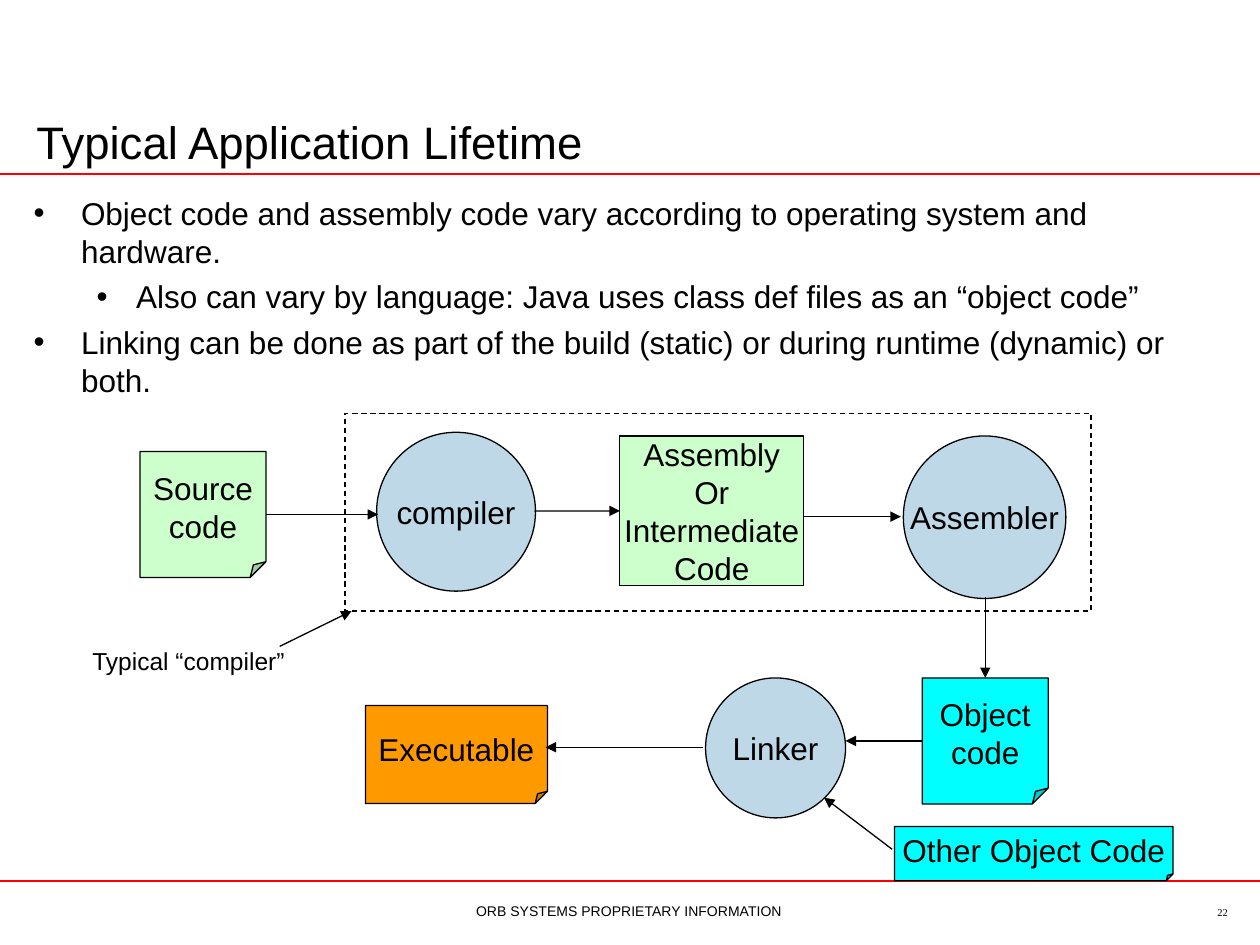
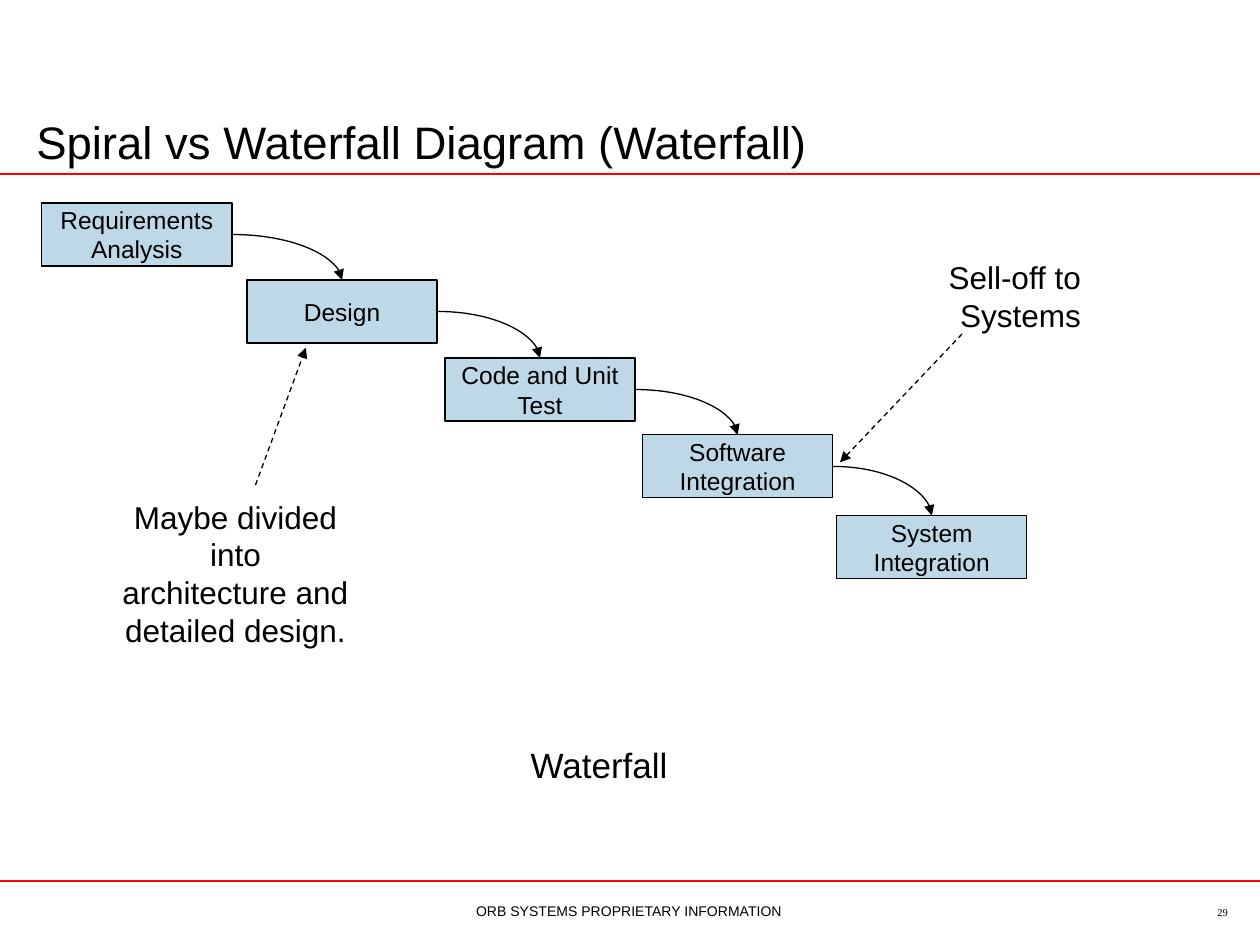
from itertools import pairwise

from lxml.etree import SubElement
from pptx import Presentation
from pptx.dml.color import RGBColor
from pptx.enum.dml import MSO_LINE
from pptx.enum.shapes import MSO_CONNECTOR, MSO_SHAPE
from pptx.enum.text import MSO_ANCHOR, MSO_AUTO_SIZE, PP_ALIGN
from pptx.oxml.ns import qn
from pptx.util import Pt

BLACK, RED = "000000", "FF0000"
GREEN, BLUE, CYAN, ORANGE = "CCFFCC", "BFD8E7", "00FFFF", "FF9900"
WIDTH, HEIGHT = 720, 540
TOP_RULE, BOTTOM_RULE = 99.5, 503.5
FOOTER = "ORB SYSTEMS PROPRIETARY INFORMATION"
LEFT, CENTER, RIGHT = PP_ALIGN.LEFT, PP_ALIGN.CENTER, PP_ALIGN.RIGHT
TOP_SIDE, LEFT_SIDE, RIGHT_SIDE = 0, 1, 3


def color(value):
    return RGBColor.from_string(value)


def points(*values):
    return [Pt(v) for v in values]


def shift(origin, x, y):
    return origin[0] + x, origin[1] + y


def write(tf, lines, size, align=LEFT, font="Arial"):
    for i, line in enumerate(lines):
        p = tf.paragraphs[0] if i == 0 else tf.add_paragraph()
        p.alignment = align
        r = p.add_run()
        r.text = line
        r.font.size = Pt(size)
        r.font.name = font
        r.font.color.rgb = color(BLACK)


def add_text(s, box, lines, size, align=LEFT, font="Arial", wrap=False):
    sp = s.shapes.add_textbox(*points(*box))
    tf = sp.text_frame
    tf.word_wrap = wrap
    tf.auto_size = MSO_AUTO_SIZE.NONE if wrap else MSO_AUTO_SIZE.SHAPE_TO_FIT_TEXT
    write(tf, lines, size, align, font)
    return tf


def add_node(s, kind, box, fill, lines, size=18):
    sp = s.shapes.add_shape(kind, *points(*box))
    sp.shadow.inherit = False
    sp.line.color.rgb = color(BLACK)
    sp.line.width = Pt(0.75)
    if fill:
        sp.fill.solid()
        sp.fill.fore_color.rgb = color(fill)
    else:
        sp.fill.background()
        sp.line.dash_style = MSO_LINE.DASH
    if kind == MSO_SHAPE.FOLDED_CORNER:
        guides = sp._element.spPr.find(qn("a:prstGeom")).find(qn("a:avLst"))
        SubElement(guides, qn("a:gd"), name="adj", fmla="val 12500")
    tf = sp.text_frame
    tf.word_wrap = False
    tf.vertical_anchor = MSO_ANCHOR.MIDDLE
    write(tf, lines, size, CENTER)
    return sp


def add_line(s, start, end, line=BLACK, width=0.75, kind=MSO_CONNECTOR.STRAIGHT):
    c = s.shapes.add_connector(kind, *points(*start, *end))
    c.line.color.rgb = color(line)
    c.line.width = Pt(width)
    SubElement(c._element.spPr, qn("a:effectLst"))
    return c


def add_arrow(s, start, end, dashed=False, kind=MSO_CONNECTOR.STRAIGHT):
    c = add_line(s, start, end, kind=kind)
    if dashed:
        c.line.dash_style = MSO_LINE.DASH
    ln = c._element.spPr.find(qn("a:ln"))
    SubElement(ln, qn("a:tailEnd"), type="triangle")
    return c


def add_frame(prs, title, number):
    s = prs.slides.add_slide(prs.slide_layouts[6])
    for y in (TOP_RULE, BOTTOM_RULE):
        add_line(s, (0, y), (WIDTH, y), RED, 1)
    tf = add_text(s, (272, 517, 175, 8.6), [FOOTER], 8, CENTER)
    tf.margin_left = tf.margin_right = tf.margin_top = tf.margin_bottom = 0
    tf.paragraphs[0].line_spacing = 0.9
    tf = add_text(s, (13.7, 57, 679, 43), [title], 26, wrap=True)
    tf.vertical_anchor = MSO_ANCHOR.BOTTOM
    add_text(s, (558.7, 514, 150, 16), [number], 6, RIGHT, "Times New Roman", True)
    return s


def add_bullets(s, box, items):
    tf = add_text(s, box, [text for _, text in items], 18, wrap=True)
    indents = [(27, -27), (58.5, -22.5)]
    for p, (level, _) in zip(tf.paragraphs, items):
        p.level = level
        p.space_before = Pt(4.5)
        pPr = p._p.get_or_add_pPr()
        margin, indent = points(*indents[level])
        pPr.set("marL", str(margin))
        pPr.set("indent", str(indent))
        SubElement(pPr, qn("a:buFont"), typeface="Arial")
        SubElement(pPr, qn("a:buChar"), char="•")


def add_build_flow(s, origin):
    fold, oval, rect = MSO_SHAPE.FOLDED_CORNER, MSO_SHAPE.OVAL, MSO_SHAPE.RECTANGLE
    nodes = {}
    for name, kind, x, y, w, h, fill, lines in [
        ("assembly", rect, 310.2, 13.1, 105.1, 85.7, GREEN,
         ["Assembly", "Or", "Intermediate", "Code"]),
        ("source", fold, 36, 22, 72, 72, GREEN, ["Source", "code"]),
        ("compiler", oval, 171.2, 11, 90.8, 90.8, BLUE, ["compiler"]),
        ("assembler", oval, 472.2, 13.1, 92.9, 92.9, BLUE, ["Assembler"]),
        ("object", fold, 483, 151.4, 72, 72, CYAN, ["Object", "code"]),
        ("typical", rect, 153.2, 0.2, 426.2, 113, None, []),
        ("linker", oval, 359.2, 151.4, 80, 80, BLUE, ["Linker"]),
        ("other", fold, 467.2, 236.3, 159.1, 31, CYAN, ["Other Object Code"]),
        ("executable", fold, 164.8, 167.2, 104, 56, ORANGE, ["Executable"]),
    ]:
        nodes[name] = add_node(s, kind, (*shift(origin, x, y), w, h), fill, lines)

    def arrow(start, end):
        return add_arrow(s, shift(origin, *start), shift(origin, *end))

    arrow((108, 58), (172, 58)).begin_connect(nodes["source"], RIGHT_SIDE)
    arrow((261.3, 56), (310.2, 56)).end_connect(nodes["assembly"], LEFT_SIDE)
    arrow((415.3, 59.2), (470.8, 59.2))
    arrow((519, 105.3), (519, 151.4)).end_connect(nodes["object"], TOP_SIDE)
    arrow((483, 187.4), (439.2, 187.4)).begin_connect(nodes["object"], LEFT_SIDE)
    arrow((465.8, 249.3), (426.9, 219.8))
    arrow((357.8, 191), (267.8, 191))
    arrow((115.8, 133.4), (156.9, 113.2))
    add_text(s, (*shift(origin, 0.6, 129.8), 125.3, 24.5),
             ["Typical “compiler”"], 14, RIGHT)


def add_waterfall(s, origin):
    w, h = 108.7, 36
    steps = []
    for x, y, lines in [
        (0, 0, ["Requirements", "Analysis"]),
        (117.3, 44, ["Design"]),
        (230.4, 88.6, ["Code and Unit", "Test"]),
        (343.4, 132.5, ["Software", "Integration"]),
        (454.3, 178.6, ["System", "Integration"]),
    ]:
        box = (*shift(origin, x, y), w, h)
        steps.append(add_node(s, MSO_SHAPE.RECTANGLE, box, BLUE, lines, 14))
    for step, following in pairwise(steps):
        c = add_arrow(s, origin, origin, kind=MSO_CONNECTOR.CURVE)
        c.begin_connect(step, RIGHT_SIDE)
        c.end_connect(following, TOP_SIDE)
        c._element.spPr.find(qn("a:prstGeom")).set("prst", "curvedConnector2")

    for x, y, tw, th, lines, size, align in [
        (511, 28, 90, 50.4, ["Sell-off to", "Systems"], 18, RIGHT),
        (28.6, 164.8, 164.2, 72,
         ["Maybe divided into", "architecture and", "detailed design."], 18, CENTER),
        (271.2, 305.2, 93.6, 31.7, ["Waterfall"], 20, RIGHT),
    ]:
        add_text(s, (*shift(origin, x, y), tw, th), lines, size, align)
    for start, end in [((526, 74.8), (456.2, 148.2)), ((122.2, 161.2), (151, 82.7))]:
        add_arrow(s, shift(origin, *start), shift(origin, *end), dashed=True)


def main():
    prs = Presentation()
    prs.slide_width, prs.slide_height = points(WIDTH, HEIGHT)

    s = add_frame(prs, "Typical Application Lifetime", "22")
    add_bullets(s, (12.2, 107.3, 680, 389.5), [
        (0, "Object code and assembly code vary according to operating system and hardware."),
        (1, "Also can vary by language: Java uses class def files as an “object code”"),
        (0, "Linking can be done as part of the build (static) or during runtime (dynamic) or both."),
    ])
    add_build_flow(s, (44, 236))

    s = add_frame(prs, "Spiral vs Waterfall Diagram (Waterfall)", "29")
    add_waterfall(s, (23.8, 116))
    prs.save("out.pptx")


if __name__ == "__main__":
    main()
